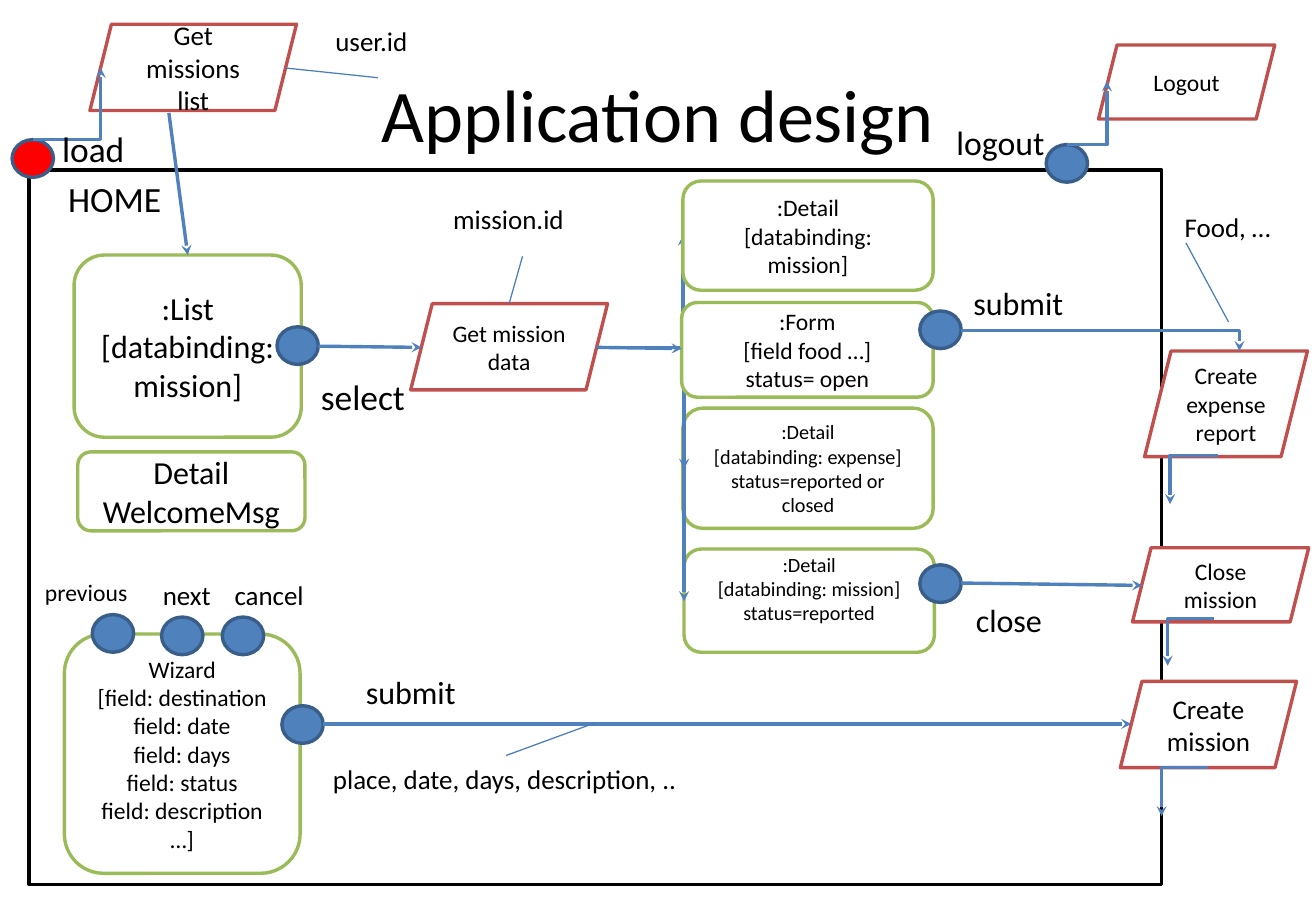
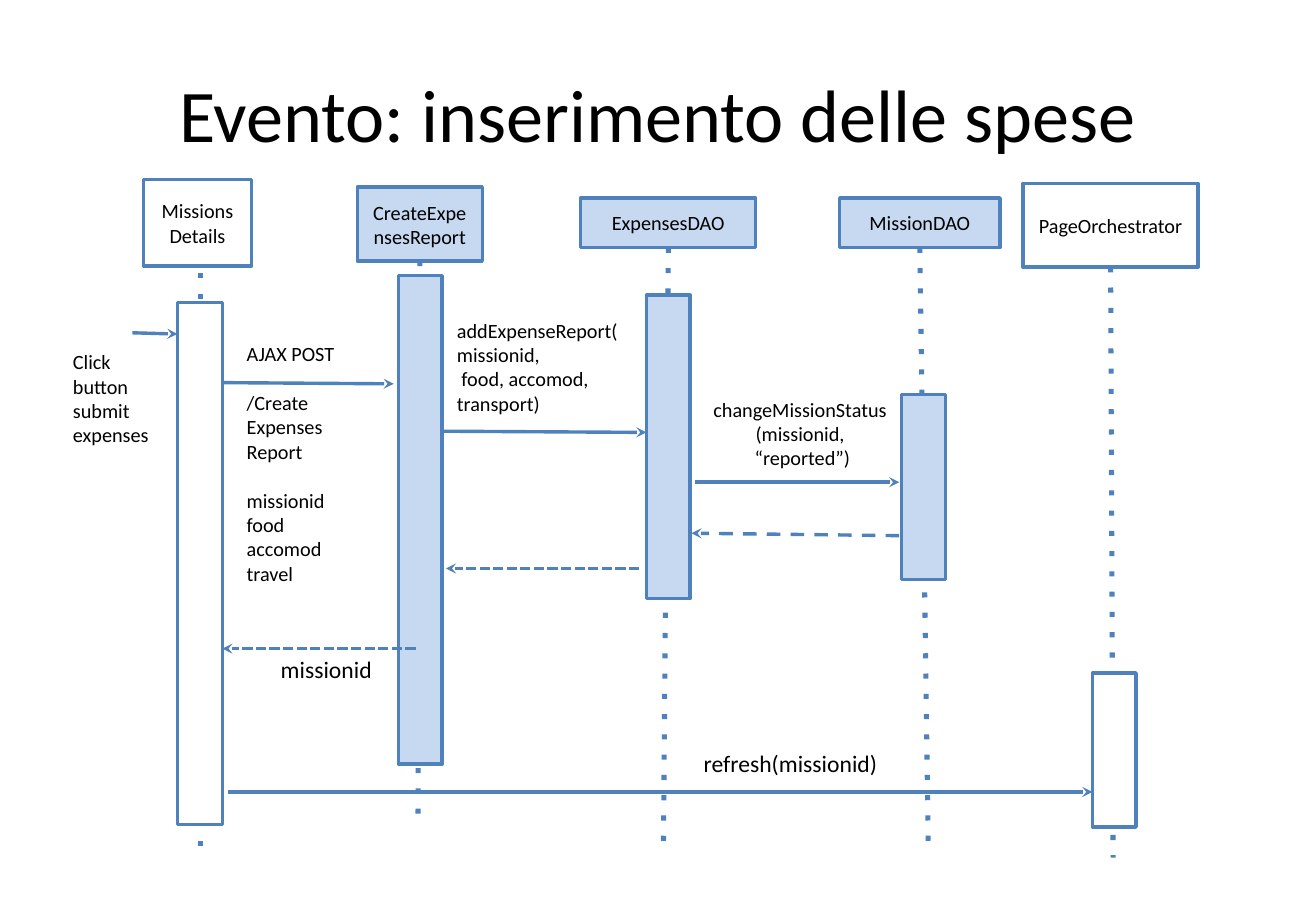
from lxml import etree
from pptx import Presentation
from pptx import util as u
from pptx.dml import color
from pptx.enum import shapes, text
from pptx.oxml import ns

W, H = u.Inches(10.83), u.Inches(7.5)
COLS, ROWS = 108.3, 75
FONT = "Calibri"
COLORS = {
    "ink": "000000", "paper": "FFFFFF", "blue": "4F81BD", "navy": "395E89",
    "thin": "4A7DBA", "pale": "C6D9F1", "green": "9BBB59", "brick": "C0504D",
    "red": "FF0000",
}
KIND = shapes.MSO_SHAPE
CENTER, LEFT = text.PP_ALIGN.CENTER, text.PP_ALIGN.LEFT
MIDDLE, TOP = text.MSO_ANCHOR.MIDDLE, text.MSO_ANCHOR.TOP
LINE_GAP = 14.65


def col(n):
    return u.Emu(round(W * n / COLS))


def row(n):
    return u.Emu(round(H * n / ROWS))


def grid(at):
    c, r, w, h = at
    return col(c), row(r), col(w), row(h)


def rgb(name):
    return color.RGBColor.from_string(COLORS[name])


def write(sp, words, size=12, align=CENTER, anchor=MIDDLE, left=1.2, bottom=0.6, gaps=()):
    tf = sp.text_frame
    tf.text = words
    tf.word_wrap = True
    tf.auto_size = text.MSO_AUTO_SIZE.NONE
    tf.vertical_anchor = anchor
    tf.margin_left, tf.margin_right = col(left), col(1.2)
    tf.margin_top, tf.margin_bottom = row(0.6), row(bottom)
    for i, p in enumerate(tf.paragraphs):
        p.alignment = align
        if i in gaps:
            p.space_before = u.Pt(LINE_GAP)
        for r in p.runs:
            r.font.name, r.font.size = FONT, u.Pt(size)
            r.font.color.rgb = rgb("ink")


def shape(s, kind, at, words="", fill="paper", line="blue", **fmt):
    sp = s.shapes.add_shape(kind, *grid(at))
    sp.shadow.inherit = False
    sp.fill.solid()
    sp.fill.fore_color.rgb = rgb(fill)
    sp.line.color.rgb = rgb(line)
    sp.line.width = u.Pt(2)
    if words:
        write(sp, words, **fmt)
    return sp


def panel(s, at, words, size, **fmt):
    return shape(s, KIND.ROUNDED_RECTANGLE, at, words, line="green", size=size, **fmt)


def process(s, at, words, size=14):
    return shape(s, KIND.PARALLELOGRAM, at, words, line="brick", size=size)


def event(s, c, r, fill="blue"):
    return shape(s, KIND.OVAL, (c, r, 3.4, 3.1), fill=fill, line="navy")


def label(s, at, words, size=12, align=LEFT, **fmt):
    sp = s.shapes.add_textbox(*grid(at))
    write(sp, words, size=size, align=align, anchor=TOP, **fmt)
    return sp


def connect(s, start, end, line="blue", width=2, dash=None, head=True, bent=False,
            begin=None, finish=None):
    kind = shapes.MSO_CONNECTOR.ELBOW if bent else shapes.MSO_CONNECTOR.STRAIGHT
    c = s.shapes.add_connector(kind, col(start[0]), row(start[1]), col(end[0]), row(end[1]))
    c.line.color.rgb = rgb(line)
    c.line.width = u.Pt(width)
    spPr = c.element.spPr
    ln = spPr.find(ns.qn("a:ln"))
    if bent:
        spPr.find(ns.qn("a:prstGeom")).set("prst", "bentConnector2")
    if dash:
        etree.SubElement(ln, ns.qn("a:prstDash")).set("val", dash)
    if head:
        etree.SubElement(ln, ns.qn("a:tailEnd")).set("type", "stealth")
    etree.SubElement(spPr, ns.qn("a:effectLst"))
    if begin:
        c.begin_connect(*begin)
    if finish:
        c.end_connect(*finish)
    return c


def pointer(s, start, end, begin=None):
    connect(s, start, end, line="thin", width=0.75, head=False, begin=begin)


def new_slide(prs, title):
    s = prs.slides.add_slide(prs.slide_layouts[5])
    sp = s.shapes.title
    sp.left, sp.top, sp.width, sp.height = grid((5.4, 3, 97.5, 12.5))
    write(sp, title, size=44)
    return s


def application_design(prs):
    s = new_slide(prs, "Application design")
    shape(s, KIND.RECTANGLE, (2.4, 14, 93.2, 58.8), "HOME", line="ink", size=21,
          align=LEFT, anchor=TOP, left=3.2)

    panel(s, (5.3, 52.2, 19.4, 19.7), "Wizard\n[field: destination\nfield: date\nfield: days\n"
          "field: status\nfield: description …]", 14)
    missions = panel(s, (6.1, 21, 18.7, 15), ":List\n[databinding: mission]", 19)
    panel(s, (6.4, 37.2, 18.7, 6.5), "Detail\nWelcomeMsg", 19)
    panel(s, (56.2, 33.6, 20.6, 9.9),
          ":Detail\n[databinding: expense]\nstatus=reported or closed", 12)
    panel(s, (56.3, 45.2, 20.6, 8.5),
          ":Detail\n[databinding: mission]\nstatus=reported", 12, bottom=2.6)

    for at, words, size in [
        ((7.4, 2, 17, 7.1), "Get missions list", 16),
        ((33.8, 25, 16.2, 7.1), "Get mission data", 14),
        ((90.4, 3.7, 14.5, 6.1), "Logout", 14),
        ((94.2, 28.9, 13.4, 8.7), "Create expense report", 14),
        ((93.2, 45.1, 14.5, 6.1), "Close mission", 14),
        ((92.2, 56.1, 14.5, 7.1), "Create mission", 16),
    ]:
        process(s, at, words, size)

    data_out = (49.1, 28.6)
    for end in [(56.2, 19.4), (56.3, 38.6), (56.3, 49.5)]:
        connect(s, data_out, end, bent=True)
    panel(s, (56.1, 24.9, 20.7, 7.8), ":Form\n[field food …]\nstatus= open", 14)
    panel(s, (56.2, 14.9, 20.6, 9), ":Detail\n[databinding: mission]", 14)

    for c, r in [(23.2, 58.1), (22.8, 26.9), (7.6, 50.6), (13.3, 50.8), (18.3, 50.8),
                 (75.7, 46.5), (75.7, 25.6), (86.1, 11.9)]:
        event(s, c, r)
    event(s, 1, 11.5, fill="red")

    connect(s, (13.9, 9.3), (15.45, 21), finish=(missions, 0))
    for start, end in [
        ((26.6, 59.6), (93.1, 59.6)),
        ((26.2, 28.5), (34.7, 28.6)),
        (data_out, (56.1, 28.7)),
        ((79.1, 48), (94, 48.2)),
    ]:
        connect(s, start, end)
    for start, end in [
        ((79.1, 27.2), (102, 28.9)),
        ((100.2, 37.5), (96.3, 41.5)),
        ((99.9, 50.9), (96.1, 54.8)),
        ((99.4, 63.2), (95.6, 67.2)),
        ((2.7, 11.5), (8.3, 5.6)),
        ((87.8, 11.9), (91.1, 6.7)),
    ]:
        connect(s, start, end, bent=True)

    for at, words, start, end, side in [
        ((26.4, 1.4, 9.4, 5), "user.id", (31.1, 6.4), (23.5, 5.6), 2),
        ((36.1, 16.1, 13.8, 5), "mission.id", (43, 21.1), (41.9, 25), 2),
        ((26.2, 62.2, 30.9, 5), "place, date, days, description, ..", (41.7, 62.2), (49, 59.5), 0),
        ((96.3, 16.7, 11.7, 5), "Food, …", (97.6, 20), (101.1, 26.5), None),
    ]:
        note = label(s, at, words, 16)
        pointer(s, start, end, begin=None if side is None else (note, side))

    for c, r, words, size in [
        (3.9, 9.9, "load", 21), (77.5, 9.4, "logout", 20), (25.2, 30.3, "select", 21),
        (78.9, 22.7, "submit", 19), (79.1, 48.8, "close", 19), (28.9, 54.8, "submit", 19),
        (2.5, 47, "previous", 14), (12.2, 47, "next", 16), (18.1, 47, "cancel", 16),
    ]:
        label(s, (c, r, 9.8, 4), words, size)


def actor(s, name, head, life, bar, fill, joined=True):
    sp = shape(s, KIND.RECTANGLE, head, name, fill=fill)
    connect(s, *life, width=3, dash="dot", head=False, begin=(sp, 2) if joined else None)
    shape(s, KIND.RECTANGLE, bar, fill=fill)


def expense_event(prs):
    s = new_slide(prs, "Evento: inserimento delle spese")
    actor(s, "Missions Details", (11.8, 14.8, 8.9, 7.1), ((16.5, 22.5), (16.5, 70.9)),
          (14.6, 24.9, 3.7, 43), "paper", joined=False)
    actor(s, "CreateExpensesReport", (29.4, 15.4, 10.3, 6.1), ((34.6, 21.5), (34.4, 68)),
          (32.8, 22.7, 3.6, 40.2), "pale")
    actor(s, "ExpensesDAO", (47.8, 16.3, 14.4, 4.1), ((55, 20.4), (54.6, 69.6)),
          (53.2, 24.3, 3.6, 25), "pale")
    actor(s, "MissionDAO", (69.1, 16.3, 13.2, 4.1), ((75.7, 20.4), (76.4, 70.2)),
          (74.2, 32.5, 3.6, 15.2), "pale")
    actor(s, "PageOrchestrator", (84.2, 15.1, 14.4, 6.9), ((91.4, 22), (91.6, 70.6)),
          (89.9, 55.4, 3.6, 12.7), "paper")

    for start, end, dash in [
        ((10.9, 27.4), (14.6, 27.5), None),
        ((18.3, 31.5), (32.4, 31.6), None),
        ((36.5, 35.5), (53.2, 35.6), None),
        ((57.2, 39.7), (74, 39.7), None),
        ((18.8, 65.2), (89.9, 65.2), None),
        ((74, 44.1), (56.9, 43.9), "dash"),
        ((52.6, 46.8), (36.7, 46.8), "sysDash"),
        ((34.2, 53.4), (18.3, 53.4), "sysDash"),
    ]:
        connect(s, start, end, dash=dash)

    label(s, (4.8, 28.2, 10.9, 8.3), "Click\nbutton\nsubmit expenses")
    label(s, (19.1, 27.5, 10.1, 23.2), "AJAX POST\n/Create\nExpenses\nReport\nmissionid\nfood\n"
          "accomod\ntravel", gaps=(1, 4))
    label(s, (36.4, 25.6, 18.4, 10), "addExpenseReport(\nmissionid,\n food, accomod, transport)")
    label(s, (57.2, 32.1, 17.3, 8.4), "changeMissionStatus\n(missionid,\n “reported”)",
          align=CENTER)
    label(s, (21.9, 53.3, 9.9, 3.7), "missionid", 14, CENTER)
    label(s, (56.1, 61.1, 17.9, 3.7), "refresh(missionid)", 14, CENTER)


def main():
    prs = Presentation()
    prs.slide_width, prs.slide_height = W, H
    application_design(prs)
    expense_event(prs)
    prs.save("out.pptx")


if __name__ == "__main__":
    main()
